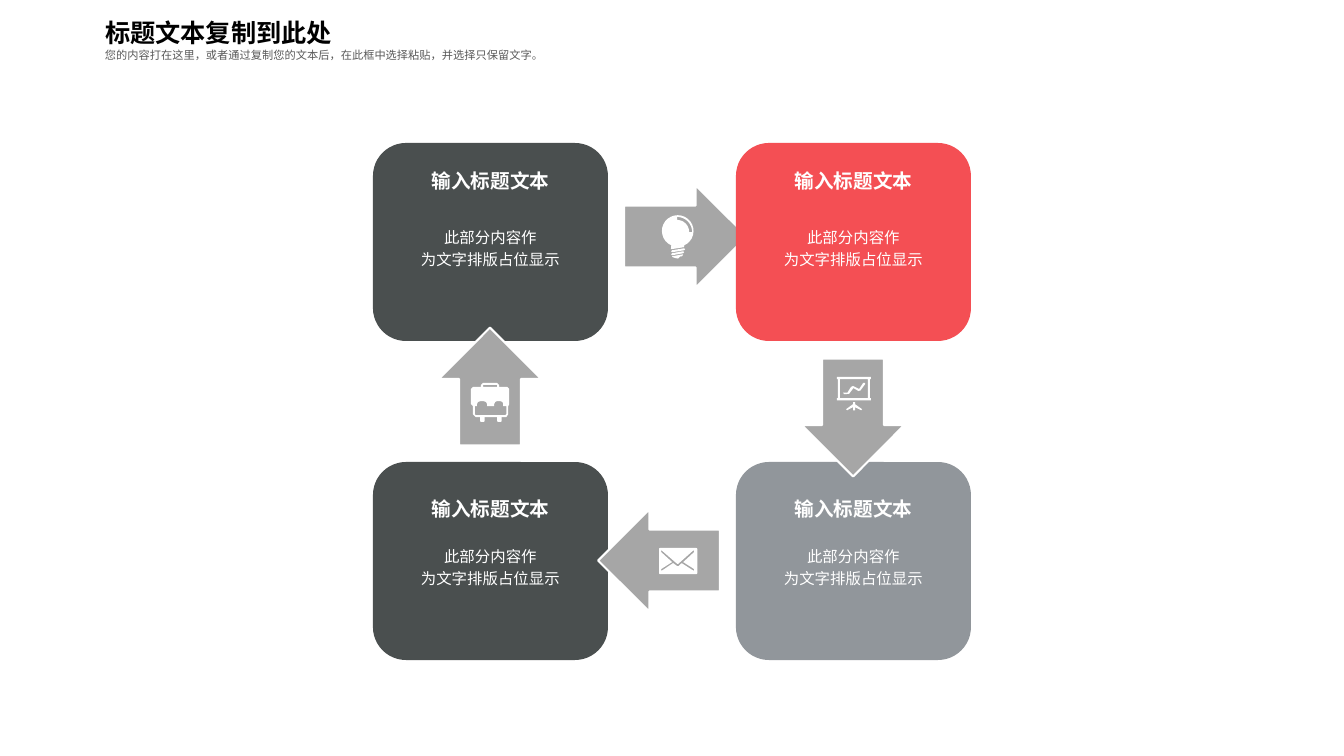
from dataclasses import dataclass
from math import cos, radians, sin

from lxml.etree import SubElement
from pptx import Presentation
from pptx.dml.color import RGBColor
from pptx.enum.shapes import MSO_SHAPE
from pptx.enum.text import MSO_ANCHOR, MSO_AUTO_SIZE, PP_ALIGN
from pptx.oxml.ns import qn
from pptx.shapes.autoshape import Shape
from pptx.slide import Slide
from pptx.text.text import TextFrame
from pptx.util import Emu, Pt

EMU_PER_PX = 12192000 / 1344
ICON_UNITS_PER_PX = 10
CARD_WIDTH, CARD_HEIGHT = 235, 198
CJK_FONT = "Noto Sans CJK SC"
COLORS = {
    "charcoal": "4A4F4F",
    "red": "F44F54",
    "slate": "91969B",
    "arrow": "A6A6A6",
    "white": "FFFFFF",
    "black": "000000",
    "caption": "595959",
}

Outline = list[tuple[int, int]]


@dataclass(frozen=True)
class Box:
    """Position and size in px."""

    left: int
    top: int
    width: int
    height: int

    def emu(self) -> tuple[Emu, Emu, Emu, Emu]:
        """Return the box as slide lengths."""
        return px(self.left), px(self.top), px(self.width), px(self.height)


@dataclass(frozen=True)
class TextStyle:
    """Look of a run of text and its paragraph."""

    size: int
    color: str
    font: str = "Arial"
    bold: bool = False
    align: PP_ALIGN = PP_ALIGN.CENTER
    spacing: float = 1.0


@dataclass(frozen=True)
class Icon:
    """White pictogram: each figure is a list of outlines in tenths of a px."""

    left: int
    top: int
    figures: list[list[Outline]]


@dataclass(frozen=True)
class Step:
    """One card of the cycle with the arrow that leaves or enters it."""

    left: int
    top: int
    title_offset: int
    color: str
    arrow: Box
    rotation: int
    icon: Icon


def px(length: float) -> Emu:
    """Turn px into EMU."""
    return Emu(round(length * EMU_PER_PX))


def arc(x: int, y: int, radius: int, start: int, end: int) -> Outline:
    """Return points along a circular arc, angles in degrees."""
    count = 24
    angles = [radians(start + (end - start) * i / count) for i in range(count + 1)]
    return [(round(x + radius * cos(a)), round(y + radius * sin(a))) for a in angles]


def rounded(left: int, top: int, width: int, height: int, radius: int) -> Outline:
    """Return the outline of a rounded rectangle."""
    west, east = left + radius, left + width - radius
    north, south = top + radius, top + height - radius
    corners = [(east, south), (west, south), (west, north), (east, north)]
    return [point for i, (x, y) in enumerate(corners)
            for point in arc(x, y, radius, 90 * i, 90 * i + 90)]


BULB = [[
    arc(158, 160, 158, 114, 426) + [(222, 322), (90, 343)],
    arc(151, 171, 151, 270, 360) + arc(151, 171, 121, 360, 270),
    [(101, 353), (222, 333), (232, 343), (222, 353), (101, 373), (91, 363)],
    [(101, 383), (212, 363), (222, 373), (212, 383), (101, 403), (91, 393)],
    [(101, 413), (212, 393), (202, 413), (181, 416), (161, 436), (131, 430), (111, 423)],
]]
BRIEFCASE = [
    [rounded(91, 333, 45, 55, 10)],
    [rounded(262, 333, 45, 55, 10)],
    [
        [(0, 60), (20, 40), (100, 40), (100, 20), (120, 0), (262, 0), (282, 20),
         (282, 40), (363, 40), (383, 60), (383, 212), (373, 232), (373, 313),
         (353, 343), (50, 343), (20, 313), (20, 232), (0, 212)],
        [(121, 20), (262, 20), (262, 40), (121, 40)],
        [(40, 232), (60, 232), (60, 212), (70, 190), (100, 181), (121, 181),
         (151, 190), (161, 212), (161, 232), (232, 232), (232, 212), (242, 190),
         (262, 181), (292, 181), (315, 190), (323, 212), (323, 232), (353, 232),
         (353, 313), (343, 323), (50, 323), (40, 313)],
    ],
]
ENVELOPE = [[
    rounded(0, 0, 383, 262, 12),
    [(242, 141), (353, 212), (347, 229), (232, 155), (222, 155), (195, 181),
     (181, 181), (141, 151), (26, 229), (20, 212), (131, 141), (20, 40), (23, 24),
     (30, 27), (181, 158), (193, 158), (340, 27), (350, 24), (353, 40)],
]]
BOARD = [
    [[(60, 156), (105, 156), (140, 100), (160, 90), (222, 120), (262, 60), (282, 60),
      (282, 71), (235, 135), (215, 141), (165, 111), (120, 170), (70, 171)]],
    [
        [(0, 0), (340, 0), (340, 22), (330, 22), (330, 212), (340, 212), (340, 235),
         (0, 235), (0, 212), (10, 212), (10, 22), (0, 22)],
        [(30, 22), (310, 22), (310, 212), (30, 212)],
    ],
    [[(91, 323), (161, 272), (161, 252), (181, 252), (181, 272), (252, 323),
      (242, 333), (181, 302), (181, 333), (161, 333), (161, 302), (101, 333)]],
]

STEPS = [
    Step(373, 143, 18, "charcoal", Box(624, 185, 123, 103), 0, Icon(662, 215, BULB)),
    Step(373, 462, 27, "charcoal", Box(431, 335, 118, 103), 270, Icon(471, 383, BRIEFCASE)),
    Step(736, 462, 27, "slate", Box(598, 509, 122, 103), 180, Icon(659, 548, ENVELOPE)),
    Step(736, 143, 18, "red", Box(794, 366, 118, 103), 90, Icon(837, 377, BOARD)),
]

CARD_TITLE = TextStyle(14, "white", bold=True)
CARD_BODY = TextStyle(11, "white", spacing=1.2)
HEADING = TextStyle(18, "black", CJK_FONT, True, PP_ALIGN.LEFT, 1.3)
CAPTION = TextStyle(8, "caption", CJK_FONT, False, PP_ALIGN.LEFT, 1.5)


def write(text_frame: TextFrame, text: str, style: TextStyle, anchor: MSO_ANCHOR) -> None:
    """Fill a text frame with one styled paragraph."""
    text_frame.word_wrap = True
    text_frame.auto_size = MSO_AUTO_SIZE.NONE
    text_frame.vertical_anchor = anchor
    paragraph = text_frame.paragraphs[0]
    paragraph.text = text
    paragraph.alignment = style.align
    paragraph.line_spacing = style.spacing
    for run in paragraph.runs:
        run.font.size = Pt(style.size)
        run.font.bold = style.bold
        run.font.color.rgb = RGBColor.from_string(COLORS[style.color])
        run.font.name = style.font
        SubElement(run.font._element, qn("a:ea"), typeface=CJK_FONT)


def paint(shape: Shape, color: str) -> None:
    """Give a shape a flat fill with no outline or shadow."""
    shape.shadow.inherit = False
    shape.fill.solid()
    shape.fill.fore_color.rgb = RGBColor.from_string(COLORS[color])
    shape.line.fill.background()


def set_insets(text_frame: TextFrame, side: int, top: int, bottom: int) -> None:
    """Set the text margins in px."""
    text_frame.margin_left = text_frame.margin_right = px(side)
    text_frame.margin_top, text_frame.margin_bottom = px(top), px(bottom)


def draw_icon(slide: Slide, icon: Icon) -> None:
    """Draw each figure of an icon as one freeform."""
    for outlines in icon.figures:
        builder = slide.shapes.build_freeform(
            *outlines[0][0], scale=EMU_PER_PX / ICON_UNITS_PER_PX)
        for index, outline in enumerate(outlines):
            if index:
                builder.move_to(*outline[0])
            builder.add_line_segments(outline[1:], close=True)
        paint(builder.convert_to_shape(px(icon.left), px(icon.top)), "white")


def draw_step(slide: Slide, step: Step) -> None:
    """Draw a card, its arrow, icon and title."""
    card_box = Box(step.left, step.top, CARD_WIDTH, CARD_HEIGHT)
    card = slide.shapes.add_shape(MSO_SHAPE.ROUNDED_RECTANGLE, *card_box.emu())
    paint(card, step.color)
    set_insets(card.text_frame, 10, 17, 8)
    write(card.text_frame, "此部分内容作\v为文字排版占位显示", CARD_BODY, MSO_ANCHOR.MIDDLE)

    arrow = slide.shapes.add_shape(MSO_SHAPE.RIGHT_ARROW, *step.arrow.emu())
    paint(arrow, "arrow")
    arrow.adjustments[0], arrow.adjustments[1] = 0.6, 0.5
    arrow.rotation = step.rotation
    arrow.line.color.rgb = RGBColor.from_string(COLORS["white"])
    arrow.line.width = Pt(1.5)
    draw_icon(slide, step.icon)

    title_box = Box(step.left, step.top + step.title_offset, CARD_WIDTH, 40)
    title = slide.shapes.add_textbox(*title_box.emu())
    set_insets(title.text_frame, 0, 0, 0)
    write(title.text_frame, "输入标题文本", CARD_TITLE, MSO_ANCHOR.MIDDLE)


def main() -> None:
    """Build the slide and save it."""
    presentation = Presentation()
    presentation.slide_width, presentation.slide_height = px(1344), px(756)
    slide = presentation.slides.add_slide(presentation.slide_layouts[5])
    for step in STEPS:
        draw_step(slide, step)

    heading = slide.shapes.title
    heading.left, heading.top, heading.width, heading.height = Box(95, 3, 359, 49).emu()
    write(heading.text_frame, "标题文本复制到此处", HEADING, MSO_ANCHOR.TOP)
    caption = slide.shapes.add_textbox(*Box(95, 37, 631, 30).emu())
    write(caption.text_frame,
          "您的内容打在这里，或者通过复制您的文本后，在此框中选择粘贴，并选择只保留文字。",
          CAPTION, MSO_ANCHOR.TOP)
    presentation.save("out.pptx")


if __name__ == "__main__":
    main()
